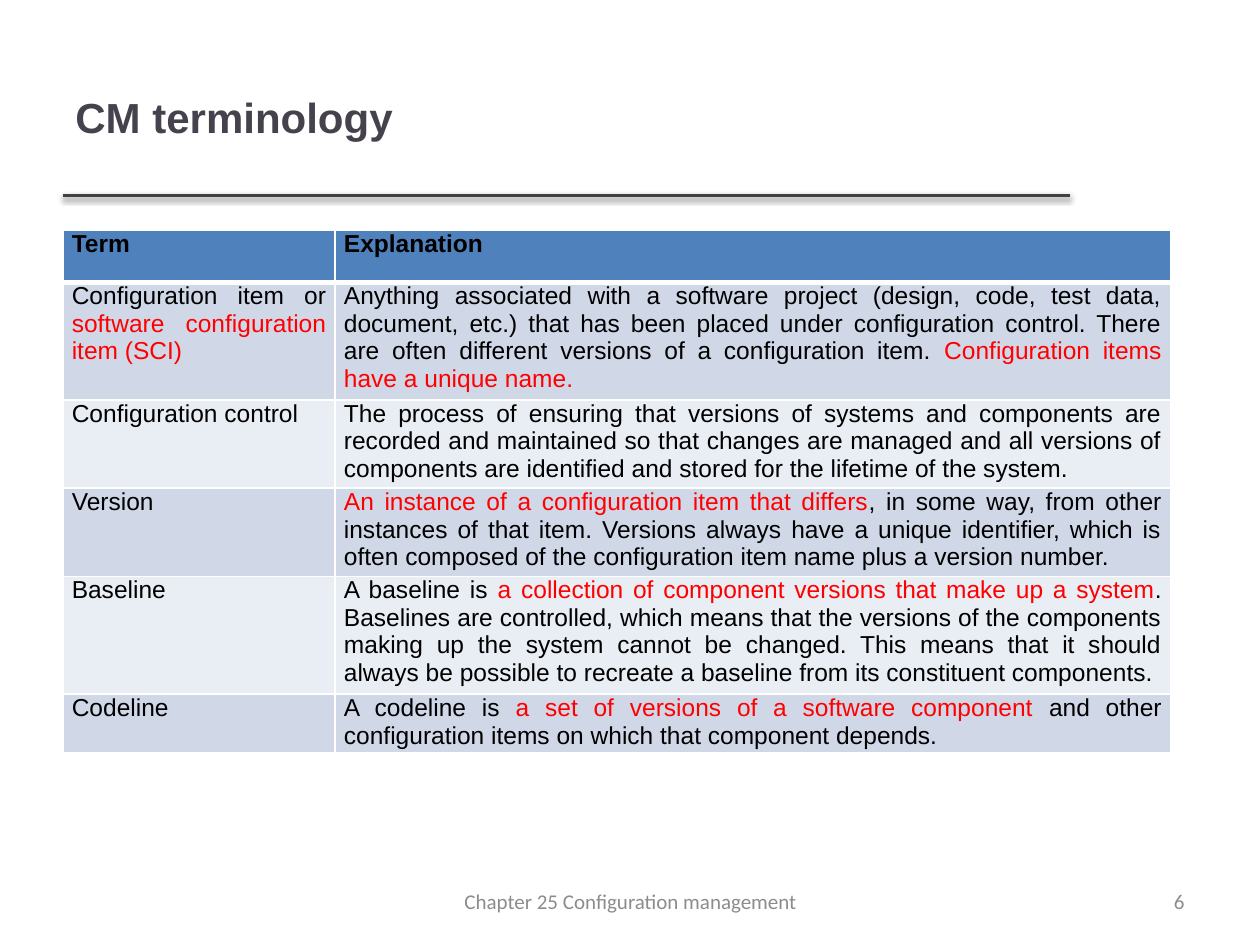
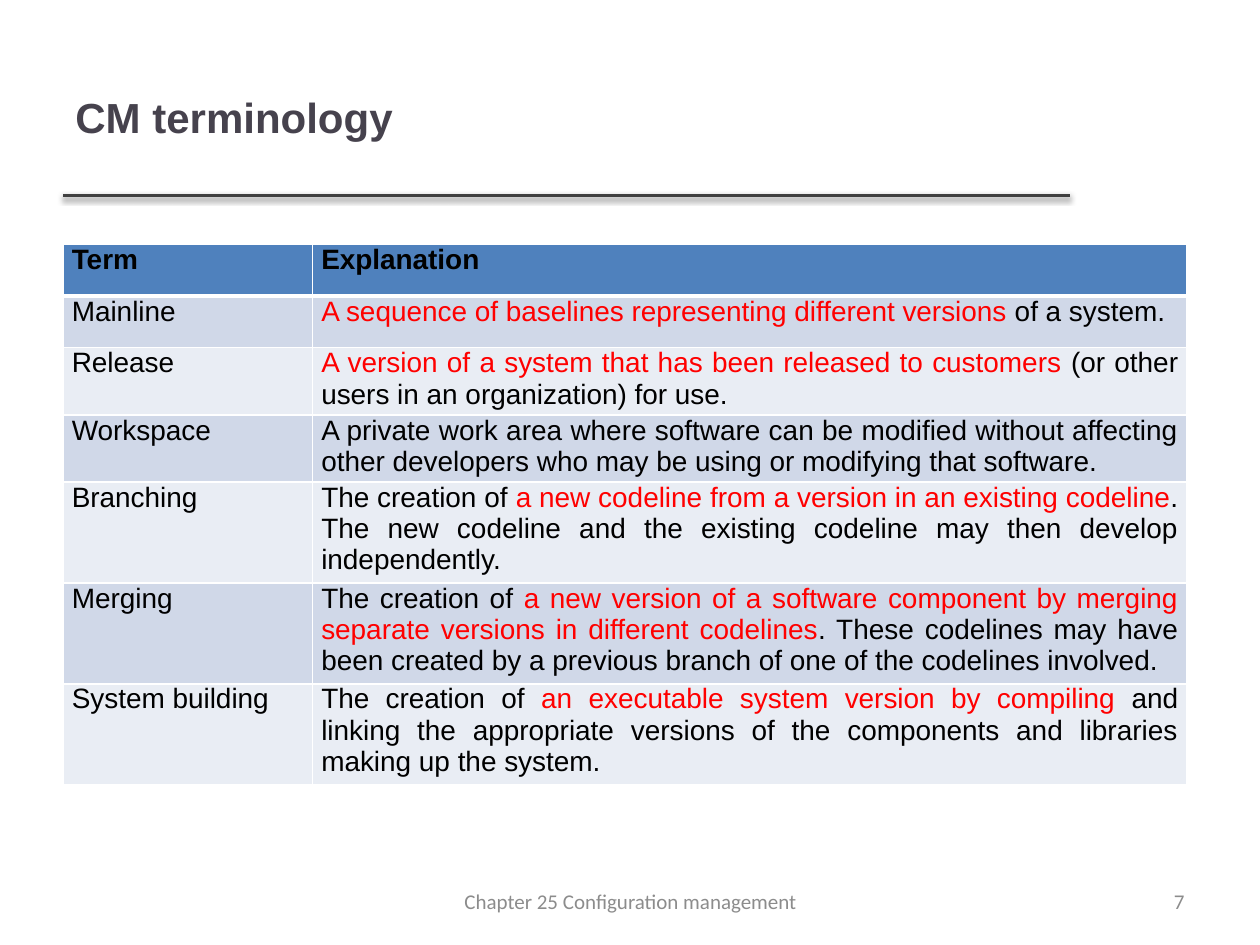
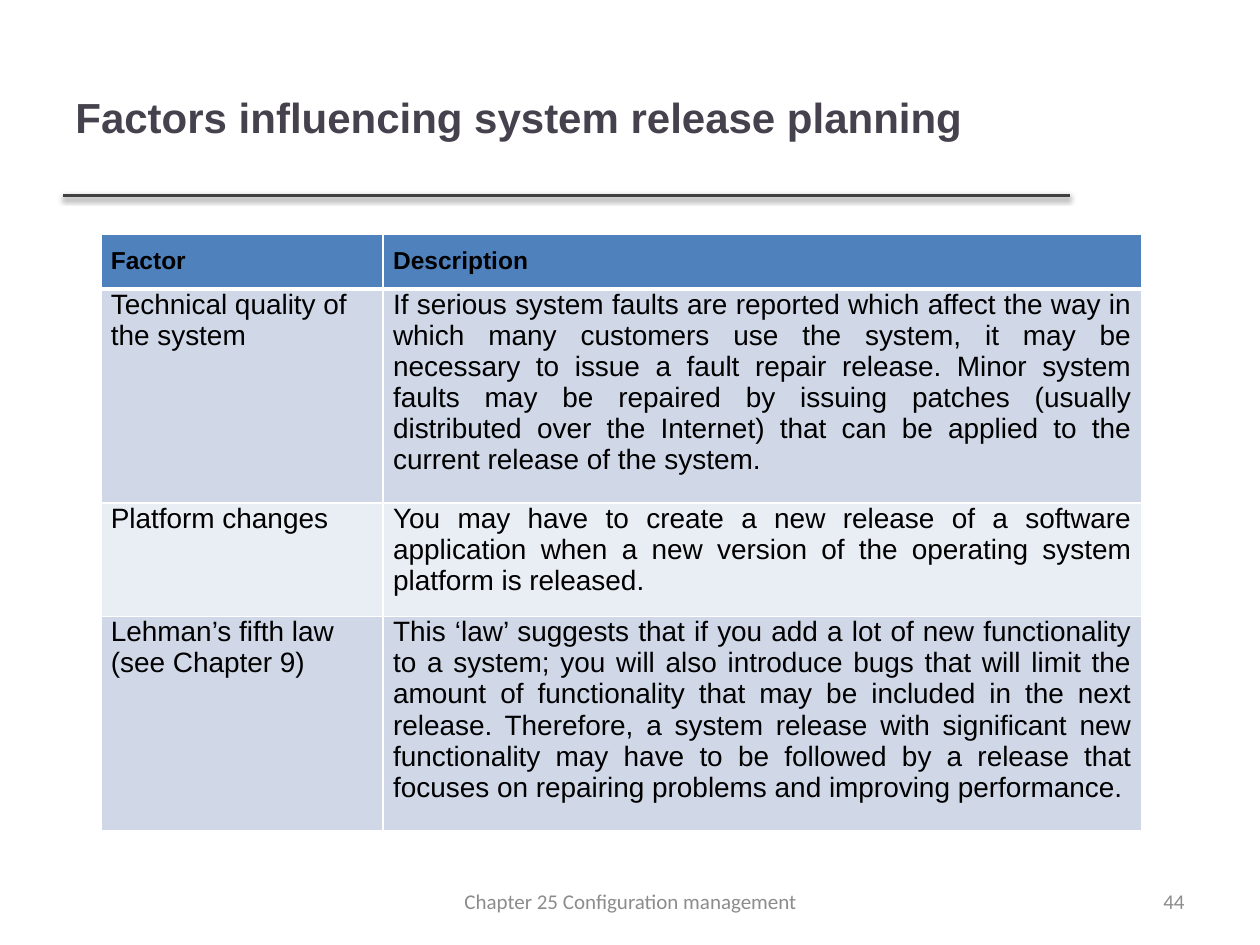
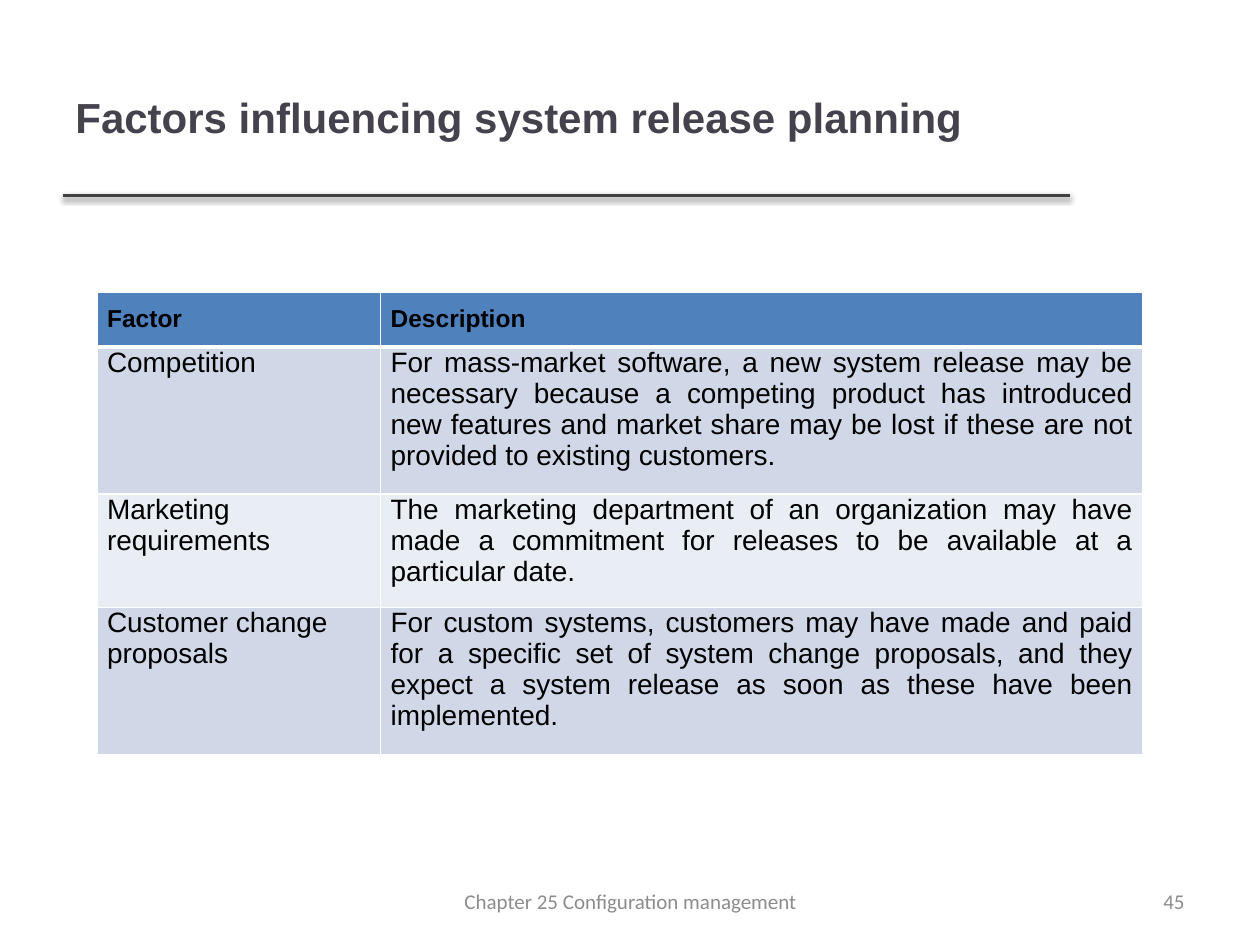
"""Build four configuration management slides with titled term tables."""
import pptx
import pptx.dml.color
import pptx.enum.shapes
import pptx.enum.text
import pptx.oxml
import pptx.oxml.ns
import pptx.util

Inches = pptx.util.Inches
Pt = pptx.util.Pt
ALIGN = pptx.enum.text.PP_ALIGN

COLORS = {
    "title": "46424D",
    "rule": "404040",
    "footer": "8C8C8C",
    "text": "000000",
    "accent": "FF0000",
    "header": "4F81BD",
    "odd": "D0D8E8",
    "even": "E9EDF4",
    "border": "FFFFFF",
    "shadow": "000000",
}
TITLE = {"size": Pt(24), "name": "Arial", "bold": True}
FOOTER = {"size": Pt(12), "name": "Calibri", "bold": False}
FOOTER_TEXT = "Chapter 25 Configuration management"
ROW_HEIGHT = 0.41

TERM_STYLE = {
    "side": 0.07, "header_top": 0, "body_top": 0, "bottom": 0,
    "space_after": 2, "first_column": ALIGN.JUSTIFY,
}
FACTOR_STYLE = {
    "side": 0.08, "header_top": 0.1, "body_top": 0, "bottom": 0.1,
    "space_after": 0, "first_column": ALIGN.LEFT,
}

SLIDES = [
    {
        "title": "CM terminology", "number": 6, "style": TERM_STYLE,
        "place": (0.5, 1.83, 4.14), "columns": (2.16, 6.63), "sizes": (14, 14),
        "rows": [
            ("Term", "Explanation"),
            ("Configuration item or *software configuration item (SCI)*",
             "Anything associated with a software project (design, code, test data, document, etc.) "
             "that has been placed under configuration control. There are often different versions "
             "of a configuration item. *Configuration items have a unique name.*"),
            ("Configuration control",
             "The process of ensuring that versions of systems and components are recorded and "
             "maintained so that changes are managed and all versions of components are identified "
             "and stored for the lifetime of the system."),
            ("Version",
             "*An instance of a configuration item that differs*, in some way, from other instances "
             "of that item. Versions always have a unique identifier, which is often composed of "
             "the configuration item name plus a version number."),
            ("Baseline",
             "A baseline is *a collection of component versions that make up a system*. Baselines "
             "are controlled, which means that the versions of the components making up the system "
             "cannot be changed. This means that it should always be possible to recreate a "
             "baseline from its constituent components."),
            ("Codeline",
             "A codeline is *a set of versions of a software component* and other configuration "
             "items on which that component depends."),
        ],
    },
    {
        "title": "CM terminology", "number": 7, "style": TERM_STYLE,
        "place": (0.5, 1.94, 4.28), "columns": (1.98, 6.94), "sizes": (16, 16),
        "rows": [
            ("Term", "Explanation"),
            ("Mainline",
             "*A sequence of baselines representing different versions* of a system."),
            ("Release",
             "*A version of a system that has been released to customers *(or other users in an "
             "organization) for use."),
            ("Workspace",
             "A private work area where software can be modified without affecting other developers "
             "who may be using or modifying that software."),
            ("Branching",
             "The creation of *a new codeline from a version in an existing codeline*. The new "
             "codeline and the existing codeline may then develop independently."),
            ("Merging",
             "The creation of *a new version of a software component by merging separate versions "
             "in different codelines*. These codelines may have been created by a previous branch "
             "of one of the codelines involved."),
            ("System building",
             "The creation of *an executable system version by compiling* and linking the "
             "appropriate versions of the components and libraries making up the system."),
        ],
    },
    {
        "title": "Factors influencing system release planning", "number": 44,
        "style": FACTOR_STYLE,
        "place": (0.8, 1.86, 4.73), "columns": (2.24, 6.02), "sizes": (14, 16),
        "rows": [
            ("Factor", "Description"),
            ("Technical quality of the system",
             "If serious system faults are reported which affect the way in which many customers "
             "use the system, it may be necessary to issue a fault repair release. Minor system "
             "faults may be repaired by issuing patches (usually distributed over the Internet) "
             "that can be applied to the current release of the system."),
            ("Platform changes",
             "You may have to create a new release of a software application when a new version of "
             "the operating system platform is released."),
            ("Lehman’s fifth law (see Chapter 9)",
             "This ‘law’ suggests that if you add a lot of new functionality to a system; you will "
             "also introduce bugs that will limit the amount of functionality that may be included "
             "in the next release. Therefore, a system release with significant new functionality "
             "may have to be followed by a release that focuses on repairing problems and improving "
             "performance."),
        ],
    },
    {
        "title": "Factors influencing system release planning", "number": 45,
        "style": FACTOR_STYLE,
        "place": (0.77, 2.32, 3.67), "columns": (2.25, 6.05), "sizes": (14, 16),
        "rows": [
            ("Factor", "Description"),
            ("Competition",
             "For mass-market software, a new system release may be necessary because a competing "
             "product has introduced new features and market share may be lost if these are not "
             "provided to existing customers."),
            ("Marketing requirements",
             "The marketing department of an organization may have made a commitment for releases "
             "to be available at a particular date."),
            ("Customer change proposals",
             "For custom systems, customers may have made and paid for a specific set of system "
             "change proposals, and they expect a system release as soon as these have been "
             "implemented."),
        ],
    },
]


def color(name):
    return pptx.dml.color.RGBColor.from_string(COLORS[name])


def set_values(target, values):
    for name, value in values.items():
        setattr(target, name, value)


class SlideBuilder:
    def __init__(self, deck):
        self.deck = deck
        self.page = None

    def add_page(self):
        self.page = self.deck.slides.add_slide(self.deck.slide_layouts[6])

    def add_spans(self, para, text, font, tint):
        for index, part in enumerate(text.split("*")):
            if part:
                span = para.add_run()
                span.text = part
                set_values(span.font, font)
                span.font.color.rgb = color("accent" if index % 2 else tint)

    def add_text(self, place, text, font, tint, align):
        box = self.page.shapes.add_textbox(*map(Inches, place))
        set_values(box.text_frame, {
            "word_wrap": True,
            "vertical_anchor": pptx.enum.text.MSO_ANCHOR.MIDDLE,
        })
        para = box.text_frame.paragraphs[0]
        para.alignment = align
        self.add_spans(para, text, font, tint)

    def add_rule(self):
        line = self.page.shapes.add_connector(
            pptx.enum.shapes.MSO_CONNECTOR.STRAIGHT,
            Inches(0.5), Inches(1.55), Inches(8.49), Inches(1.55))
        line.line.color.rgb = color("rule")
        line.line.width = Pt(2)
        line._element.spPr.append(pptx.oxml.parse_xml(
            f'<a:effectLst {pptx.oxml.ns.nsdecls("a")}>'
            f'<a:outerShdw blurRad="{Pt(3.1)}" dist="{Pt(1.6)}" dir="5400000" rotWithShape="0">'
            f'<a:srgbClr val="{COLORS["shadow"]}"><a:alpha val="38000"/></a:srgbClr>'
            '</a:outerShdw></a:effectLst>'))

    def add_frame(self, title, number):
        self.add_rule()
        self.add_text((0.5, 0.3, 7.98, 1.25), title, TITLE, "title", ALIGN.LEFT)
        self.add_text((7.17, 6.95, 2.33, 0.4), str(number), FOOTER, "footer", ALIGN.RIGHT)
        self.add_text((3.42, 6.95, 3.17, 0.4), FOOTER_TEXT, FOOTER, "footer", ALIGN.CENTER)

    def add_borders(self, cell, row):
        widths = {"L": 1, "R": 1, "T": 3 if row == 1 else 1, "B": 3 if row == 0 else 1}
        for side, width in widths.items():
            cell._tc.get_or_add_tcPr().append(pptx.oxml.parse_xml(
                f'<a:ln{side} {pptx.oxml.ns.nsdecls("a")} w="{Pt(width)}"><a:solidFill>'
                f'<a:srgbClr val="{COLORS["border"]}"/></a:solidFill></a:ln{side}>'))

    def fill_cell(self, cell, text, row, column, sizes, style):
        header = row == 0
        self.add_borders(cell, row)
        cell.fill.solid()
        cell.fill.fore_color.rgb = color("header" if header else "odd" if row % 2 else "even")
        set_values(cell, {
            "margin_left": Inches(style["side"]),
            "margin_right": Inches(style["side"]),
            "margin_top": Inches(style["header_top" if header else "body_top"]),
            "margin_bottom": Inches(style["bottom"]),
        })
        para = cell.text_frame.paragraphs[0]
        body_align = ALIGN.JUSTIFY if column else style["first_column"]
        set_values(para, {
            "alignment": ALIGN.JUSTIFY if header else body_align,
            "space_after": Pt(style["space_after"]),
        })
        font = {"size": Pt(sizes[0 if header else 1]), "name": "Arial", "bold": header}
        self.add_spans(para, text, font, "text")

    def add_table(self, place, columns, sizes, rows, style):
        left, top, height = map(Inches, place)
        holder = self.page.shapes.add_table(
            len(rows), len(columns), left, top, Inches(sum(columns)), height)
        table = holder.table
        for column, width in zip(table.columns, columns):
            column.width = Inches(width)
        for row, texts in enumerate(rows):
            table.rows[row].height = Inches(ROW_HEIGHT)
            for column, text in enumerate(texts):
                self.fill_cell(table.cell(row, column), text, row, column, sizes, style)
        holder.height = height


def main():
    deck = pptx.Presentation()
    set_values(deck, {"slide_width": Inches(10), "slide_height": Inches(7.5)})
    builder = SlideBuilder(deck)
    for slide in SLIDES:
        builder.add_page()
        builder.add_frame(slide["title"], slide["number"])
        builder.add_table(slide["place"], slide["columns"], slide["sizes"],
                          slide["rows"], slide["style"])
    deck.save("out.pptx")


if __name__ == "__main__":
    main()
